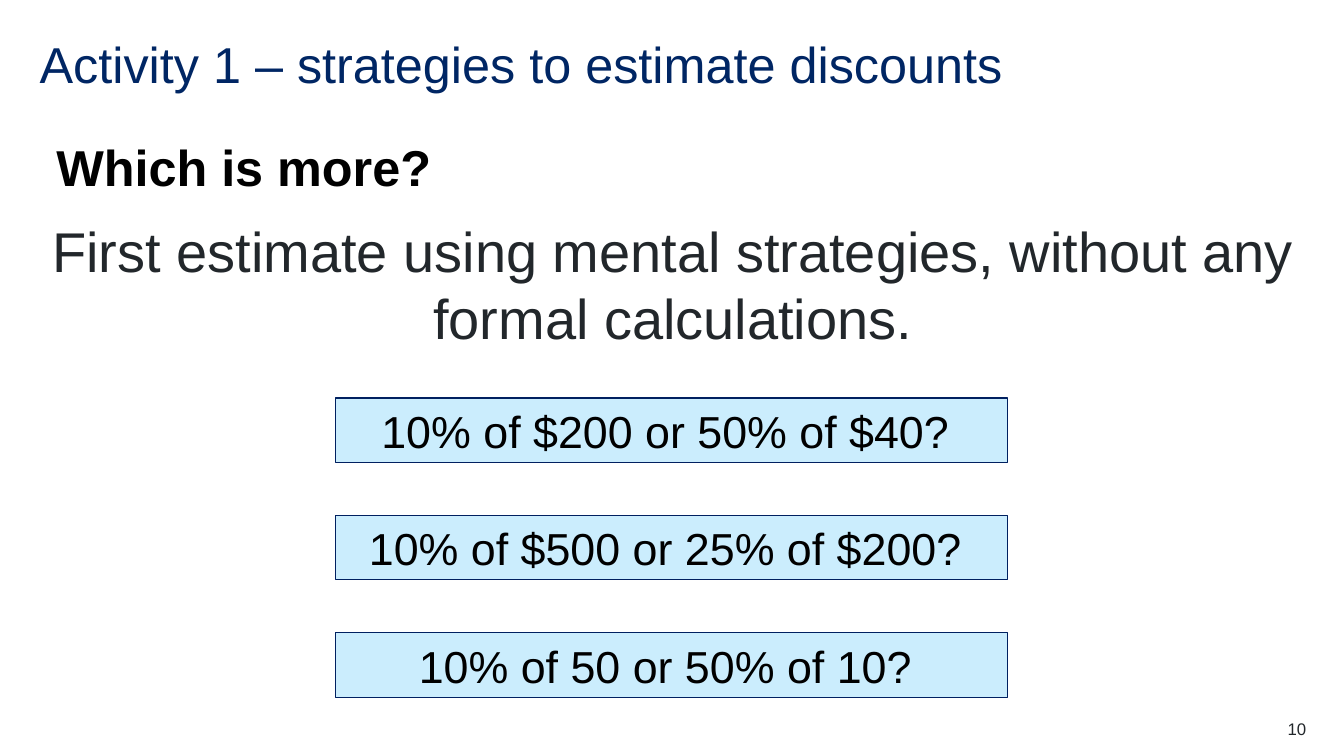
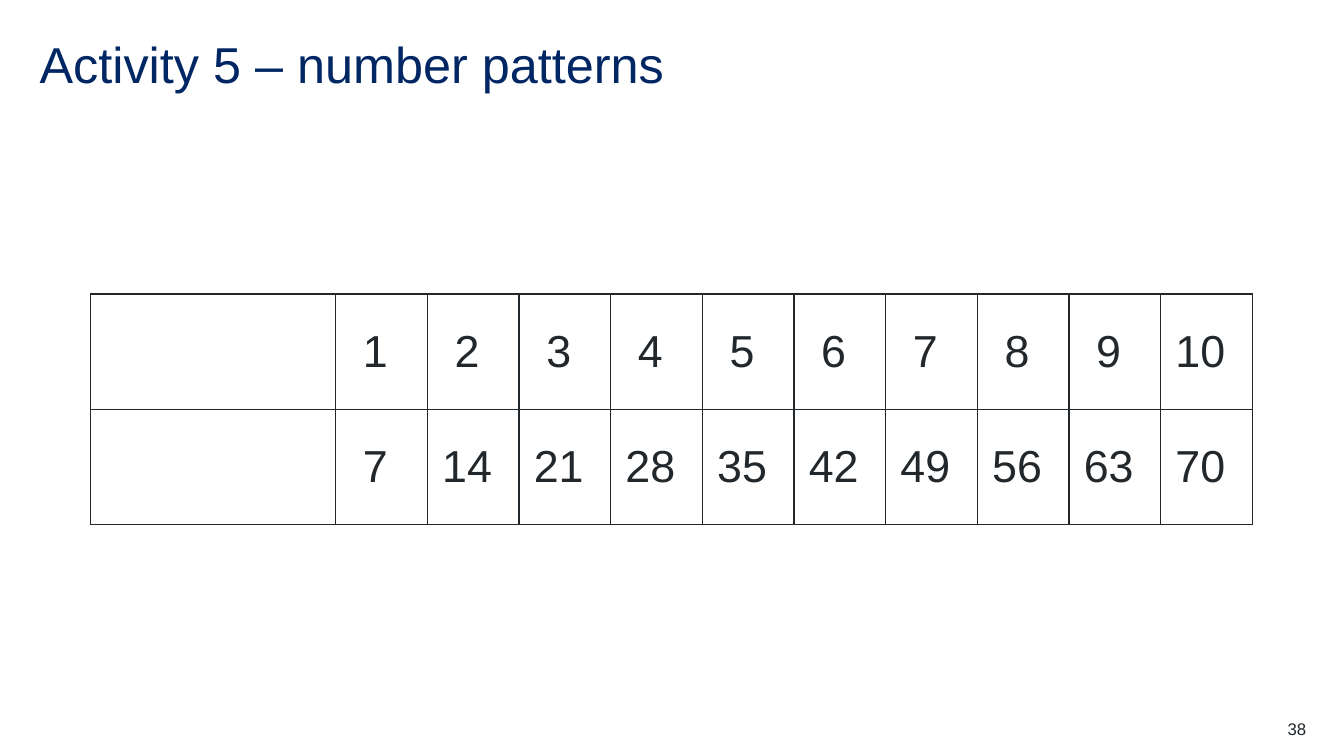
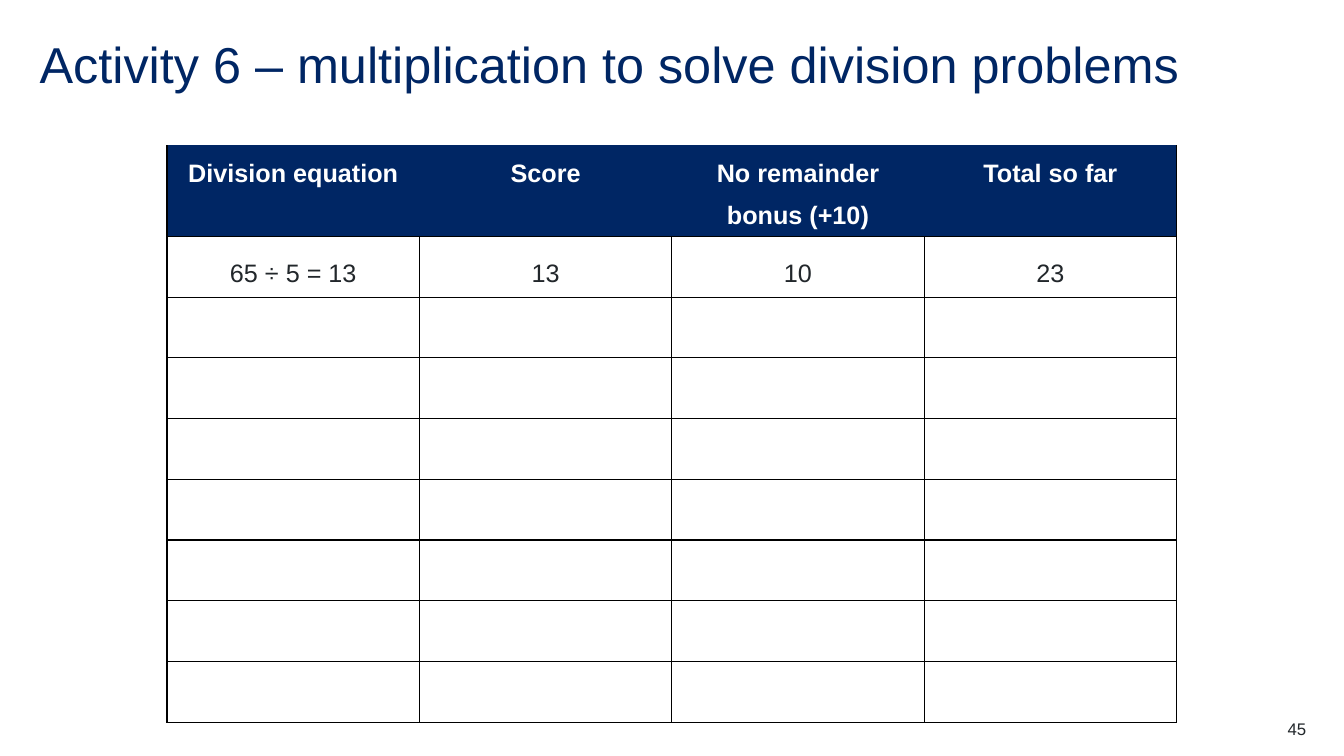
"""Builds three slides of number activities: discounts, patterns and division."""
from lxml import etree
from pptx import Presentation
from pptx.dml.color import RGBColor
from pptx.enum import shapes, text
from pptx.oxml import ns
from pptx.util import Cm, Pt

NAVY = RGBColor(0x00, 0x26, 0x64)
OUTLINE = RGBColor(0x00, 0x20, 0x60)
INK = RGBColor(0x22, 0x27, 0x2B)
BLACK = RGBColor(0, 0, 0)
WHITE = RGBColor(0xFF, 0xFF, 0xFF)
SKY = RGBColor(0xCB, 0xED, 0xFD)
FONT = "Arial"
INSET = (0.25, 0.13, 0.25, 0.13)
OFFSET_INSET = (0.25, 0.13, 0.56, 0.13)
NO_INSET = (0, 0, 0, 0)
SCORE_INSET = (0.18, 0, 0.18, 0)
LEFT, CENTER, RIGHT = text.PP_ALIGN.LEFT, text.PP_ALIGN.CENTER, text.PP_ALIGN.RIGHT
TOP, MIDDLE = text.MSO_ANCHOR.TOP, text.MSO_ANCHOR.MIDDLE

DISCOUNTS_TITLE = "Activity 1 – strategies to estimate discounts"
QUESTION = "Which is more?"
INSTRUCTION = "First estimate using mental strategies, without any formal calculations."
COMPARISONS = [
    "10% of $200 or 50% of $40?",
    "10% of $500 or 25% of $200?",
    "10% of 50 or 50% of 10?",
]

PATTERNS_TITLE = "Activity 5 – number patterns"
MULTIPLIER = 7
COUNTS = range(1, 11)
PATTERN_ROWS = [
    ["", *COUNTS],
    ["", *(MULTIPLIER * count for count in COUNTS)],
]

DIVISION_TITLE = "Activity 6 – multiplication to solve division problems"
SCORE_HEADINGS = ["Division equation", "Score", "No remainder bonus (+10)", "Total so far"]
FIRST_TURN = ["65 ÷ 5 = 13", "13", "10", "23"]
EMPTY_TURNS = 7
SCORE_ROWS = [SCORE_HEADINGS, FIRST_TURN] + [[""] * len(SCORE_HEADINGS)] * EMPTY_TURNS


def write(frame, words, size=18, color=INK, bold=False, align=LEFT, spacing=None):
    paragraph = frame.paragraphs[0]
    paragraph.alignment = align
    if spacing:
        paragraph.line_spacing = spacing
    run = paragraph.add_run()
    run.text = words
    run.font.name, run.font.size = FONT, Pt(size)
    run.font.bold, run.font.color.rgb = bold, color


def set_insets(holder, insets):
    holder.margin_left, holder.margin_top, holder.margin_right, holder.margin_bottom = map(Cm, insets)


def add_label(slide, words, place, insets=INSET, **style):
    frame = slide.shapes.add_textbox(*map(Cm, place)).text_frame
    frame.word_wrap = True
    set_insets(frame, insets)
    write(frame, words, **style)


def add_comparison(slide, words, place):
    box = slide.shapes.add_shape(shapes.MSO_SHAPE.RECTANGLE, *map(Cm, place))
    box.shadow.inherit = False
    box.fill.solid()
    box.fill.fore_color.rgb = SKY
    box.line.color.rgb, box.line.width = OUTLINE, Pt(0.75)
    box.text_frame.vertical_anchor = MIDDLE
    box.text_frame.word_wrap = True
    set_insets(box.text_frame, OFFSET_INSET)
    write(box.text_frame, words, size=32, color=BLACK, align=CENTER)


def format_cell(cell, fill, borders, insets, anchor):
    properties = cell._tc.get_or_add_tcPr()
    for side in "LRTB":
        line = etree.SubElement(properties, ns.qn(f"a:ln{side}"), w=str(Pt(1)))
        paint = etree.SubElement(line, ns.qn("a:solidFill"))
        etree.SubElement(paint, ns.qn("a:srgbClr"), val=str(borders[side]))
    cell.fill.solid()
    cell.fill.fore_color.rgb = fill
    cell.vertical_anchor = anchor
    set_insets(cell, insets)


def add_grid(slide, rows, corner, widths, heights, line, insets, header=False, **style):
    size = sum(widths), sum(heights)
    table = slide.shapes.add_table(len(rows), len(widths), *map(Cm, corner + size)).table
    table.first_row = table.horz_banding = False
    for column, width in zip(table.columns, widths):
        column.width = Cm(width)
    for row, height in zip(table.rows, heights):
        row.height = Cm(height)
    for r, values in enumerate(rows):
        heading = header and r == 0
        for c, value in enumerate(values):
            borders = dict.fromkeys("LRTB", line)
            if heading:
                borders["T"] = NAVY
                if c > 0:
                    borders["L"] = NAVY
                if c < len(widths) - 1:
                    borders["R"] = NAVY
            cell = table.cell(r, c)
            format_cell(cell, NAVY if heading else WHITE, borders, insets, TOP if heading else MIDDLE)
            if value != "":
                write(cell.text_frame, str(value), color=WHITE if heading else INK,
                      bold=heading, align=CENTER, **style)


def add_page(deck, title, number):
    slide = deck.slides.add_slide(deck.slide_layouts[6])
    add_label(slide, str(number), (30.91, 18.11, 2.01, 0.51), NO_INSET, size=12, align=RIGHT)
    add_label(slide, title, (1, 1, 31.9, 1.52), NO_INSET, size=36, color=NAVY, spacing=0.9)
    return slide


def main():
    deck = Presentation()
    deck.slide_width, deck.slide_height = Cm(33.87), Cm(19.05)

    discounts = add_page(deck, DISCOUNTS_TITLE, 10)
    add_label(discounts, QUESTION, (1.17, 3.3, 10.2, 1.8), size=36, color=BLACK, bold=True)
    add_label(discounts, INSTRUCTION, (1, 5.33, 31.9, 3.68), size=40, align=CENTER)
    for i, comparison in enumerate(COMPARISONS):
        add_comparison(discounts, comparison, (8.46, 10.03 + 2.96 * i, 16.94, 1.62))

    patterns = add_page(deck, PATTERNS_TITLE, 38)
    add_grid(patterns, PATTERN_ROWS, (2.28, 7.41), [6.18] + [2.31] * len(COUNTS),
             [2.9] * len(PATTERN_ROWS), INK, OFFSET_INSET, size=32)

    division = add_page(deck, DIVISION_TITLE, 45)
    add_grid(division, SCORE_ROWS, (4.21, 3.67), [6.36] * len(SCORE_HEADINGS),
             [2.11] + [1.53] * (EMPTY_TURNS + 1), BLACK, SCORE_INSET, header=True, spacing=1.5)

    deck.save("out.pptx")


if __name__ == "__main__":
    main()
